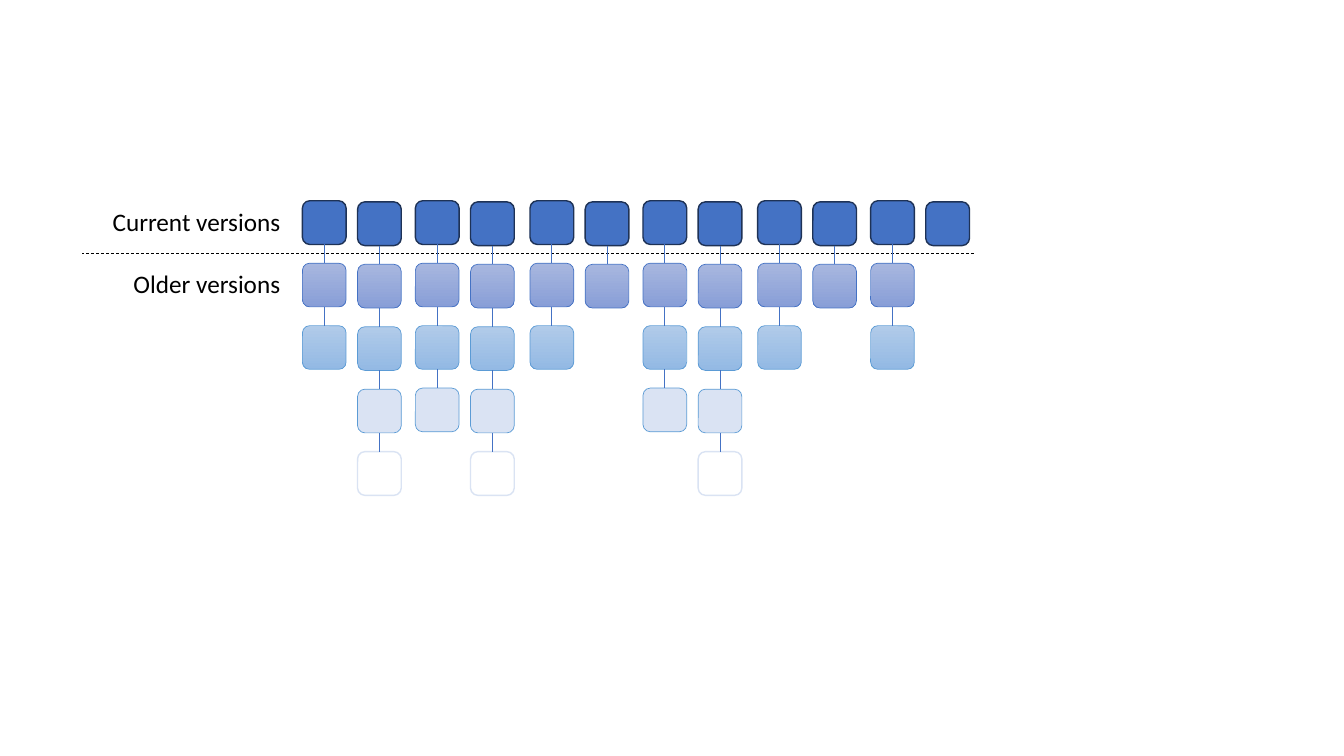
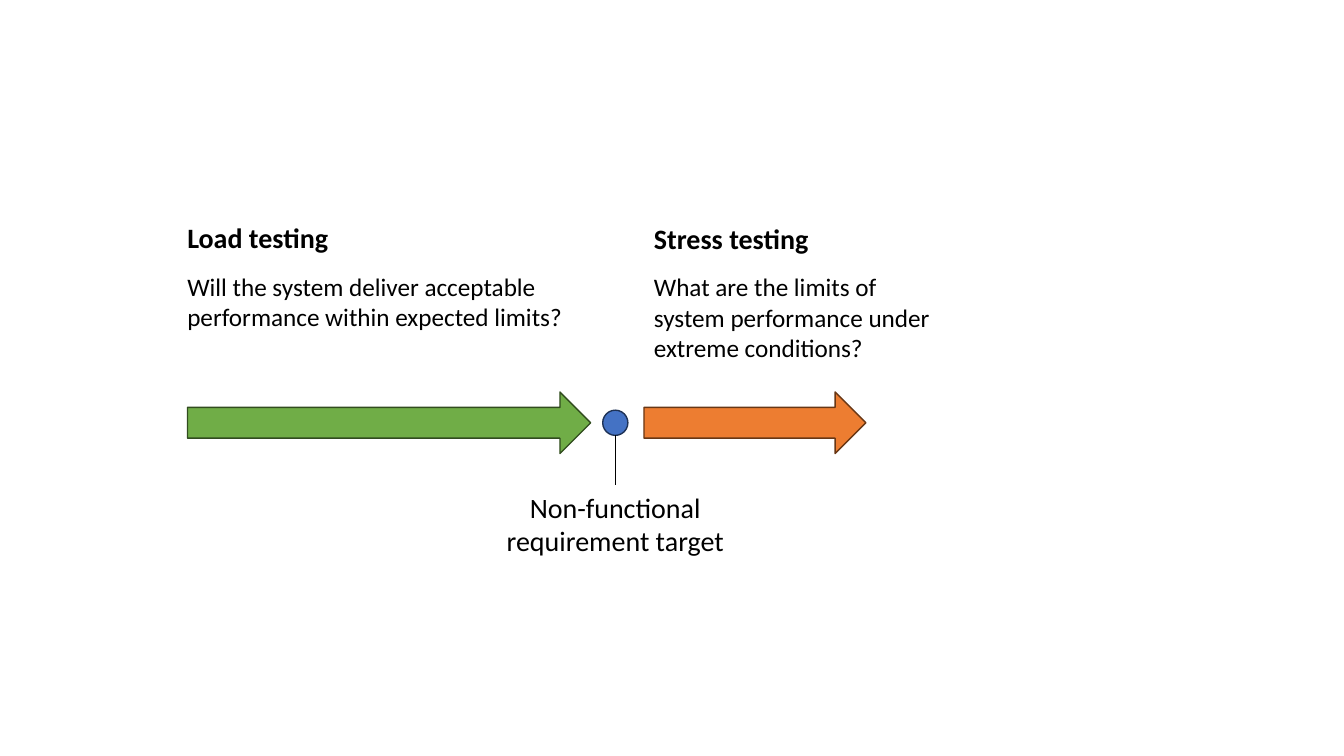
from pptx import Presentation
from pptx.dml.color import RGBColor
from pptx.enum import dml, shapes, text
from pptx.oxml.xmlchemy import OxmlElement
from pptx.util import Pt

rgb = RGBColor.from_string
FONT = "Calibri"
BLACK, WHITE = "000000", "FFFFFF"
BLUE, NAVY, SKY, PALE = "4472C4", "1E3256", "5B9BD5", "DAE3F3"
GREEN, DARK_GREEN = "70AD47", "314C1F"
ORANGE, BROWN = "ED7D31", "683715"


def add_figure(slide, kind, box, fill, outline, weight=1):
    """Draw a preset shape; a fill of two colours runs from top to bottom."""
    figure = slide.shapes.add_shape(kind, *[Pt(v) for v in box])
    figure.shadow.inherit = False
    if isinstance(fill, tuple):
        figure.fill.gradient()
        figure.fill.gradient_angle = 270
        for stop, colour in zip(figure.fill.gradient_stops, fill):
            stop.color.rgb = rgb(colour)
    else:
        figure.fill.solid()
        figure.fill.fore_color.rgb = rgb(fill)
    figure.line.color.rgb = rgb(outline)
    figure.line.width = Pt(weight)


def add_line(slide, start, end, colour):
    link = slide.shapes.add_connector(
        shapes.MSO_CONNECTOR.STRAIGHT, *[Pt(v) for v in start + end])
    link._element.spPr.append(OxmlElement("a:effectLst"))
    link.line.color.rgb = rgb(colour)
    link.line.width = Pt(0.5)
    return link


deck = Presentation()
deck.slide_width, deck.slide_height = Pt(960), Pt(540)
versions, testing = [deck.slides.add_slide(deck.slide_layouts[6]) for _ in range(2)]

# Version history: one column per item, newest version on top
SIDE, ROW_PITCH = 31.2, 44.6
FIRST_LEFT, FIRST_TOP = 216, 143.4
COLUMN_STEP, PAIR_STEP, GROUP_STEP = 39.4, 80.7, 162.6
version_styles = [
    (BLUE, NAVY, 1),
    (("A8B7DF", "889ED7"), BLUE, 0.5),
    (("B1CBE9", "93B9E4"), SKY, 0.5),
    (PALE, SKY, 0.5),
    (WHITE, PALE, 1),
]
version_counts = [3, 5, 4, 5, 3, 2, 4, 5, 3, 2, 3, 1]

divider = add_line(versions, (695.5, 181.3), (58.3, 181.3), BLACK)
divider.line.dash_style = dml.MSO_LINE.DASH

for column, count in enumerate(version_counts):
    group, place = divmod(column, 4)
    pair, second = divmod(place, 2)
    left = FIRST_LEFT + group * GROUP_STEP + pair * PAIR_STEP + second * COLUMN_STEP
    middle = left + SIDE / 2
    for row in range(count):
        top = FIRST_TOP + second * 0.8 + row * ROW_PITCH
        add_figure(versions, shapes.MSO_SHAPE.ROUNDED_RECTANGLE,
                   (left, top, SIDE, SIDE), *version_styles[row])
        if row:
            add_line(versions, (middle, top - ROW_PITCH + SIDE), (middle, top), BLUE)

# Load and stress testing on either side of the target
arrow = shapes.MSO_SHAPE.RIGHT_ARROW
add_figure(testing, arrow, (134, 280, 288, 44), GREEN, DARK_GREEN)
add_figure(testing, arrow, (460, 280, 158.5, 44), ORANGE, BROWN)
add_figure(testing, shapes.MSO_SHAPE.OVAL, (430.5, 293, 18, 18), BLUE, NAVY)
add_line(testing, (439.5, 311), (439.5, 346.5), BLACK)

# Text: slide, box, alignment, paragraph spacing, paragraphs (words, size, bold)
LEFT, CENTER, RIGHT = text.PP_ALIGN.LEFT, text.PP_ALIGN.CENTER, text.PP_ALIGN.RIGHT
labels = [
    (versions, (35.3, 144, 172, 29), RIGHT, 0, [("Current versions", 18, False)]),
    (versions, (35.3, 188, 172, 29), RIGHT, 0, [("Older versions", 18, False)]),
    (testing, (126.7, 154, 288, 87), LEFT, 6, [
        ("Load testing", 20, True),
        ("Will the system deliver acceptable performance within expected limits?",
         18, False)]),
    (testing, (460, 154.4, 227, 109), LEFT, 6, [
        ("Stress testing", 20, True),
        ("What are the limits of system performance under extreme conditions?",
         18, False)]),
    (testing, (326, 346.5, 227, 55.5), CENTER, 6, [
        ("Non-functional requirement target", 20, False)]),
]
for slide, box, alignment, spacing, paragraphs in labels:
    frame = slide.shapes.add_textbox(*[Pt(v) for v in box]).text_frame
    frame.word_wrap = True
    frame.auto_size = text.MSO_AUTO_SIZE.SHAPE_TO_FIT_TEXT
    for index, (words, size, bold) in enumerate(paragraphs):
        paragraph = frame.add_paragraph() if index else frame.paragraphs[0]
        paragraph.alignment = alignment
        paragraph.space_before = paragraph.space_after = Pt(spacing)
        run = paragraph.add_run()
        run.text = words
        run.font.name, run.font.size, run.font.bold = FONT, Pt(size), bold
        run.font.color.rgb = rgb(BLACK)

deck.save("out.pptx")
